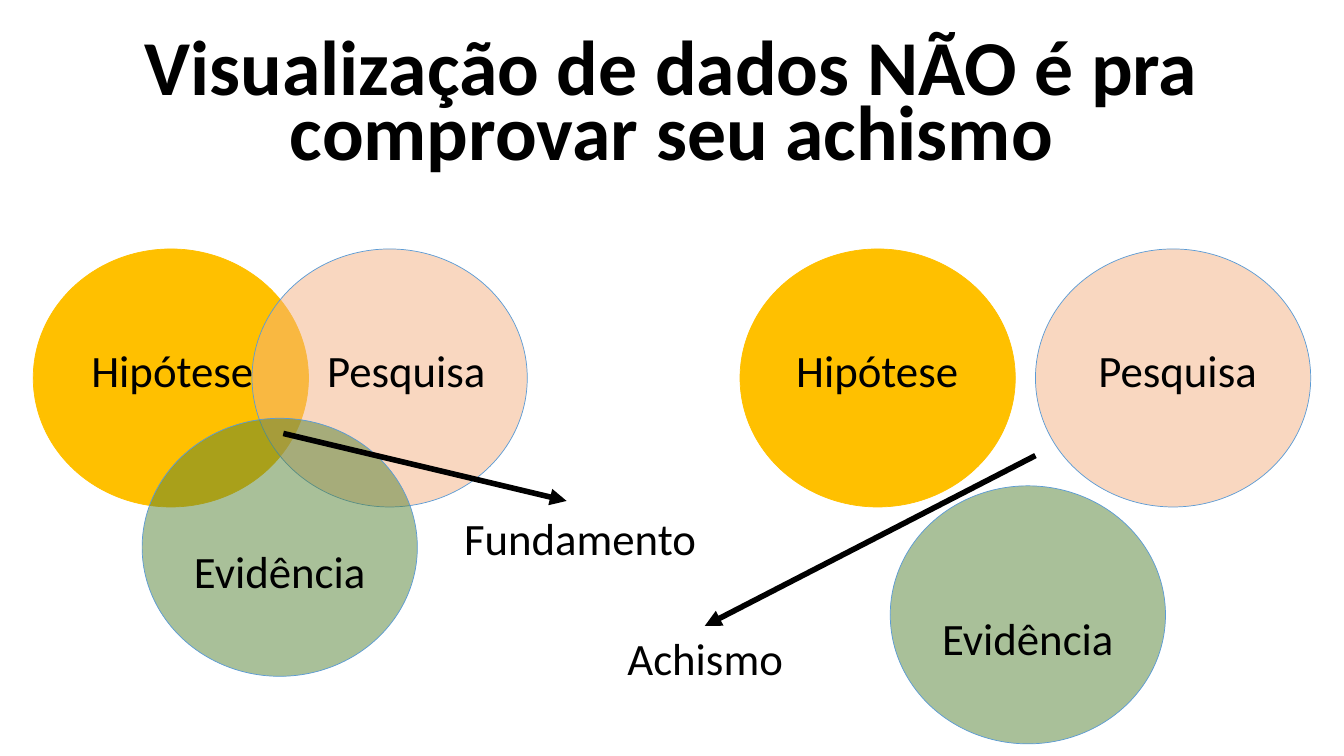
from lxml import etree
from pptx import Presentation, util as u
from pptx.dml.color import RGBColor
from pptx.enum import shapes, text
from pptx.oxml import ns

CIRCLE_SIZE = (2.73, 2.56)
LABEL_HEIGHT = 0.64
# name: fill, opacity in percent, outline
CIRCLE_STYLES = {
    "Hipótese": ("FFC000", 100, "FFC000"),
    "Pesquisa": ("F4B183", 50, "5B9BD5"),
    "Evidência": ("548235", 50, "5B9BD5"),
}


def color(value):
    return RGBColor.from_string(value)


def add_element(parent, tag, **attributes):
    return etree.SubElement(parent, ns.qn(tag), attributes)


class SlideBuilder:
    ink = "000000"
    label_format = {"name": "Calibri", "size": u.Pt(32), "bold": False}
    title_format = {"name": "Calibri", "size": u.Pt(55.5), "bold": True}

    def __init__(self, slide):
        self.slide = slide

    def text(self, words, left, top, width, height, font_format,
             anchor=text.MSO_ANCHOR.TOP, line_spacing=1.0):
        shape = self.slide.shapes.add_textbox(
            *map(u.Inches, (left, top, width, height)))
        frame = shape.text_frame
        frame.word_wrap = True
        frame.vertical_anchor = anchor
        paragraph = frame.paragraphs[0]
        paragraph.alignment = text.PP_ALIGN.CENTER
        paragraph.line_spacing = line_spacing
        run = paragraph.add_run()
        run.text = words
        for name, value in font_format.items():
            setattr(run.font, name, value)
        run.font.color.rgb = color(self.ink)

    def label(self, words, left, top, width):
        self.text(words, left, top, width, LABEL_HEIGHT, self.label_format)

    def circle(self, name, left, top):
        fill, opacity, outline = CIRCLE_STYLES[name]
        shape = self.slide.shapes.add_shape(
            shapes.MSO_SHAPE.OVAL, *map(u.Inches, (left, top, *CIRCLE_SIZE)))
        shape.shadow.inherit = False
        shape.fill.solid()
        shape.fill.fore_color.rgb = color(fill)
        shape.line.color.rgb = color(outline)
        shape.line.width = u.Pt(0.5)
        if opacity < 100:
            fill_color = shape.fill._xPr.find(".//" + ns.qn("a:srgbClr"))
            add_element(fill_color, "a:alpha", val=str(opacity * 1000))

    def arrow(self, start, end):
        connector = self.slide.shapes.add_connector(
            shapes.MSO_CONNECTOR.STRAIGHT, *map(u.Inches, (*start, *end)))
        connector.line.color.rgb = color(self.ink)
        connector.line.width = u.Pt(4)
        add_element(connector.line._get_or_add_ln(), "a:tailEnd", type="triangle")
        add_element(connector._element.spPr, "a:effectLst")


def main():
    presentation = Presentation()
    presentation.slide_width = u.Inches(13.33)
    presentation.slide_height = u.Inches(7.5)
    builder = SlideBuilder(presentation.slides.add_slide(presentation.slide_layouts[6]))

    # Title
    builder.text("Visualização de dados NÃO é pra comprovar seu achismo",
                 0, 0.28, 13.33, 1.49, builder.title_format,
                 text.MSO_ANCHOR.BOTTOM, 0.7)

    # Overlapping circles on the left, separate ones on the right:
    # name, circle left and top, label left, top and width
    circles = [
        ("Hipótese", 0.33, 2.47, 0.55, 3.35, 2.32),
        ("Pesquisa", 2.5, 2.47, 3.07, 3.35, 1.92),
        ("Evidência", 1.41, 4.15, 1.15, 5.34, 3.25),
        ("Hipótese", 7.34, 2.47, 7.54, 3.35, 2.32),
        ("Pesquisa", 10.27, 2.47, 10.72, 3.35, 1.92),
        ("Evidência", 8.83, 4.82, 8.57, 6.01, 3.25),
    ]
    for name, left, top, *label_place in circles:
        builder.circle(name, left, top)
        builder.label(name, *label_place)

    # Arrows to the conclusions
    conclusions = [
        ("Fundamento", 4.13, 5.02, (2.81, 4.3), (5.62, 4.97)),
        ("Achismo", 5.37, 6.21, (10.27, 4.52), (6.99, 6.21)),
    ]
    for words, left, top, start, end in conclusions:
        builder.label(words, left, top, 3.25)
        builder.arrow(start, end)

    presentation.save("out.pptx")


if __name__ == "__main__":
    main()
